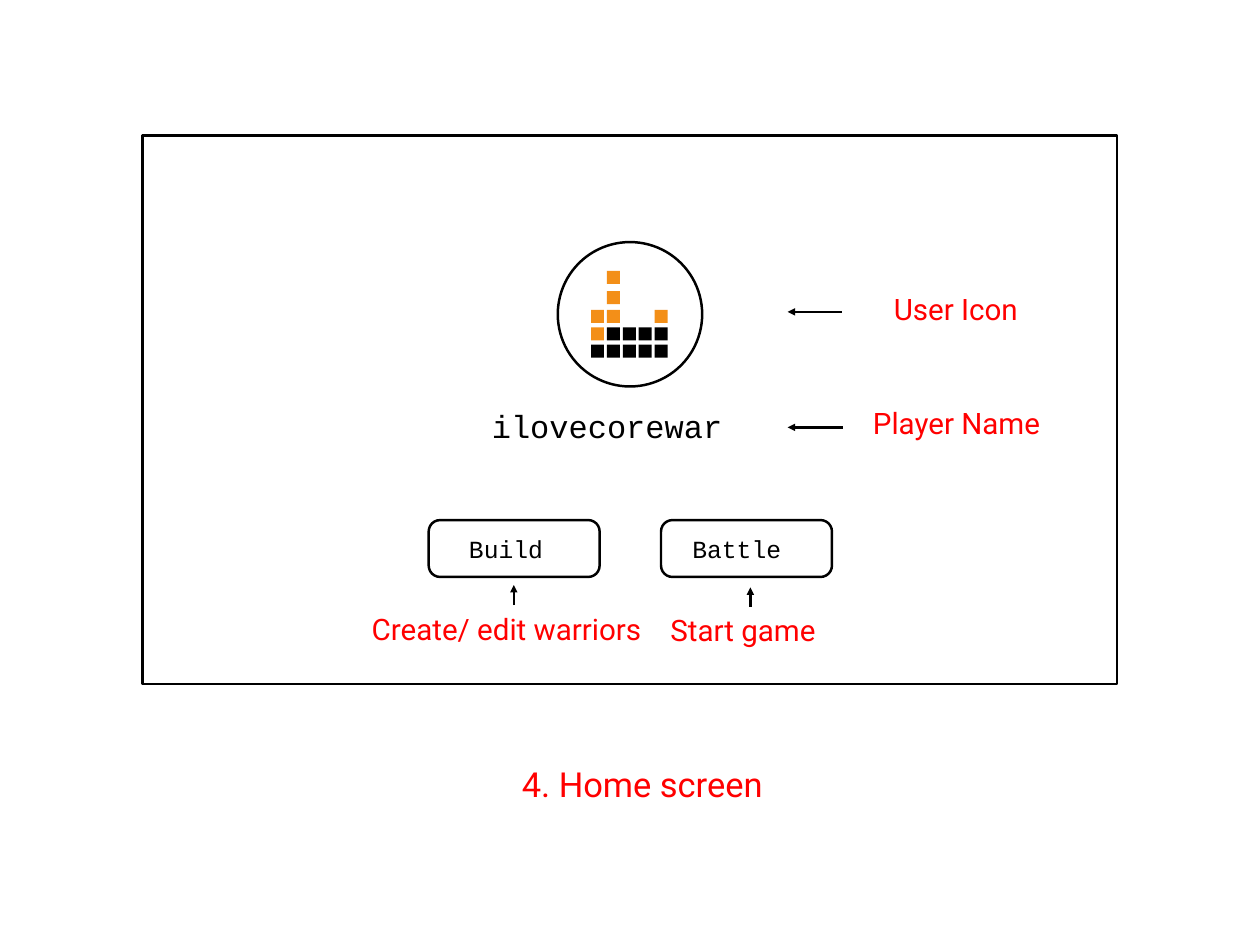
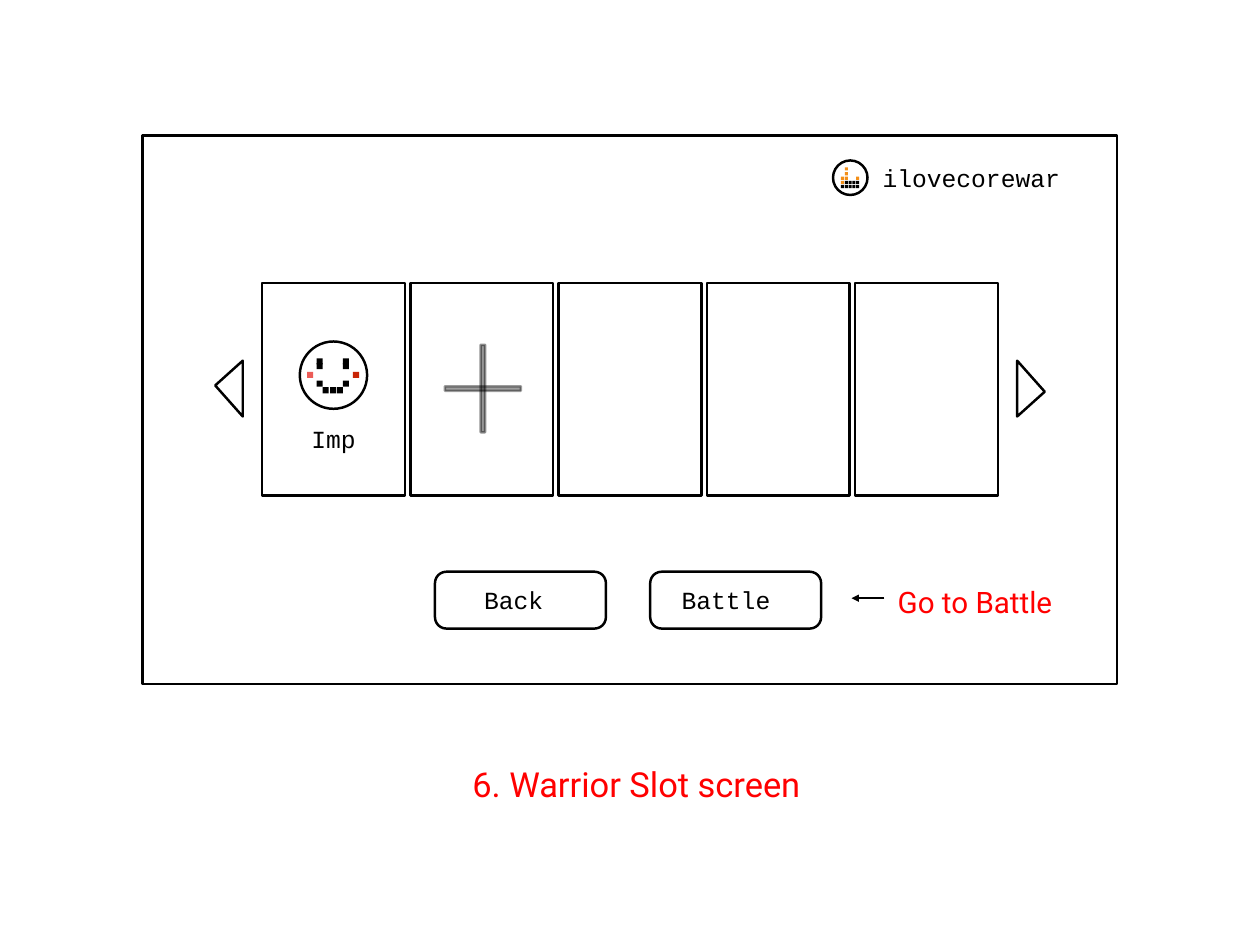
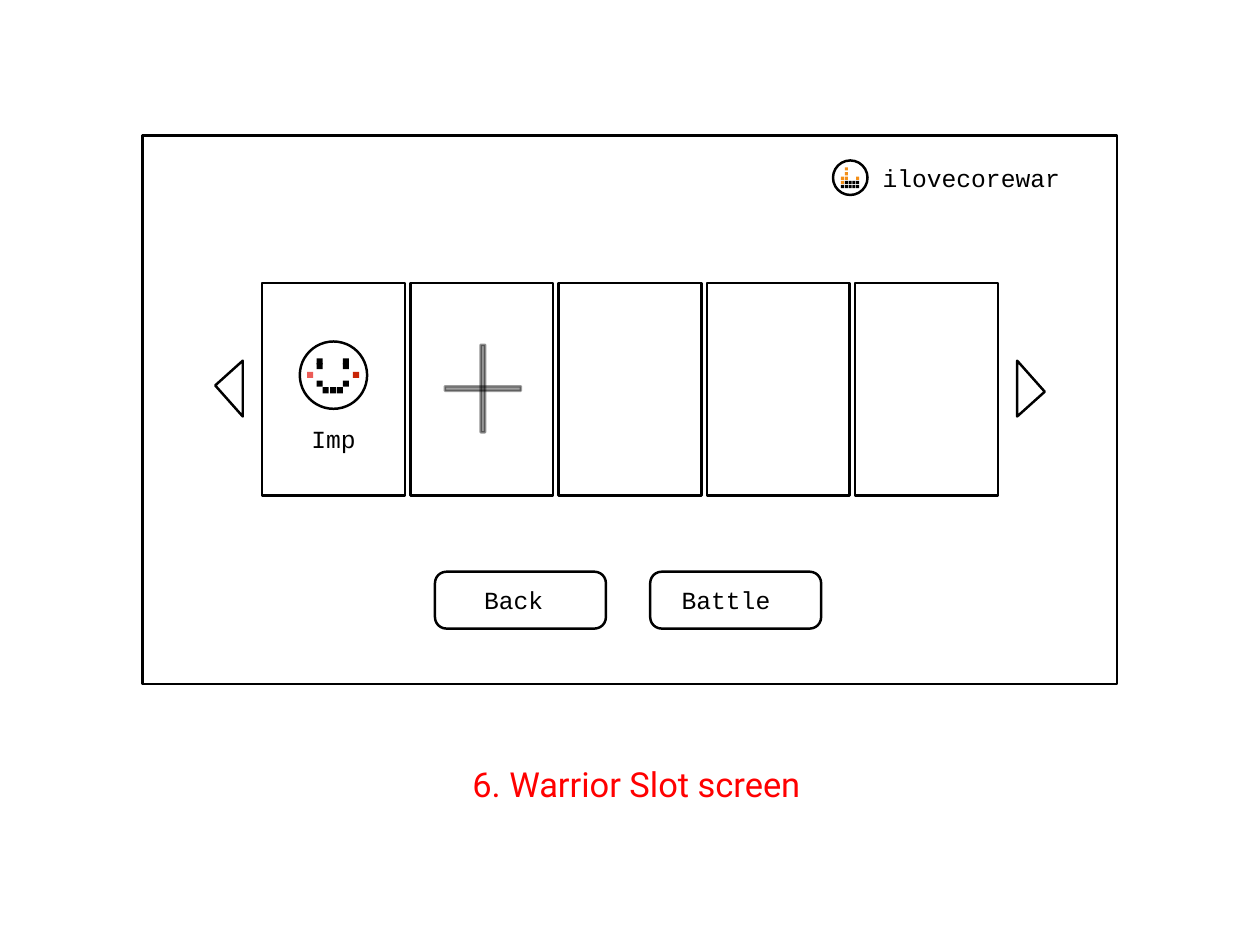
from dataclasses import dataclass

from lxml import etree
from pptx import Presentation
from pptx.dml.color import RGBColor
from pptx.enum.shapes import MSO_CONNECTOR, MSO_SHAPE
from pptx.enum.text import MSO_ANCHOR, MSO_AUTO_SIZE, PP_ALIGN
from pptx.oxml.ns import qn
from pptx.util import Cm, Pt

RECT, ROUND, OVAL = MSO_SHAPE.RECTANGLE, MSO_SHAPE.ROUNDED_RECTANGLE, MSO_SHAPE.OVAL
LEFT, CENTER = PP_ALIGN.LEFT, PP_ALIGN.CENTER
MIDDLE, FIXED = MSO_ANCHOR.MIDDLE, MSO_AUTO_SIZE.NONE
STRAIGHT = MSO_CONNECTOR.STRAIGHT
TITLE_ONLY = 5


@dataclass(frozen=True)
class Theme:
    black: str = "000000"
    white: str = "FFFFFF"
    red: str = "FF0000"
    orange: str = "F38F18"
    blush: str = "EC5C57"
    cheek: str = "C82506"
    line: float = 2
    inset: float = 0.15
    mono: str = "Courier New"
    sans: str = "Roboto"
    title: int = 28
    name: int = 26
    note: int = 24
    label: int = 20


@dataclass(frozen=True)
class Box:
    """A region in centimetres."""
    x: float
    y: float
    w: float
    h: float

    def sub(self, x, y, w, h):
        """Return a box whose place is counted from this one's corner."""
        return Box(self.x + x, self.y + y, w, h)

    def emu(self):
        return [Cm(n) for n in (self.x, self.y, self.w, self.h)]


T = Theme()
FRAME = Box(4.09, 3.89, 27.94, 15.72)
BUTTON_W, BUTTON_H = 4.9, 1.63
CARD_W, CARD_H, PITCH, CARDS = 4.09, 6.1, 4.25, 5

# Marks are (x, y, colour), as shares of the icon's diameter.
MARK = 0.09
TINTS = {"o": T.orange, "k": T.black}
ROWS = {0.2: ".o...", 0.34: ".o...", 0.47: "oo..o", 0.59: "okkkk", 0.71: "kkkkk"}
USER = [(0.23 + 0.11 * col, y, TINTS[key])
        for y, row in ROWS.items() for col, key in enumerate(row) if key in TINTS]
EYES = [(x, y, T.black) for x in (0.25, 0.64) for y in (0.25, 0.32)]
MOUTH = [(x, y, T.black) for x, y in
         ((0.25, 0.58), (0.34, 0.68), (0.45, 0.68), (0.55, 0.68), (0.64, 0.58))]
IMP = EYES + MOUTH + [(0.11, 0.45, T.blush), (0.79, 0.45, T.cheek)]


def paint(shape, fill=None, line=None):
    shape.shadow.inherit = False
    if fill:
        shape.fill.solid()
        shape.fill.fore_color.rgb = RGBColor.from_string(fill)
    else:
        shape.fill.background()
    if line:
        shape.line.color.rgb = RGBColor.from_string(line)
        shape.line.width = Pt(T.line)
    else:
        shape.line.fill.background()
    return shape


def draw(shapes, kind, box, fill=None, line=None):
    return paint(shapes.add_shape(kind, *box.emu()), fill, line)


def write(shape, text, size, face, color, align=LEFT, left=T.inset):
    frame, inset = shape.text_frame, Cm(T.inset)
    look = {"word_wrap": True, "auto_size": FIXED, "vertical_anchor": MIDDLE,
            "margin_left": Cm(left), "margin_right": inset,
            "margin_top": inset, "margin_bottom": inset}
    for key, value in look.items():
        setattr(frame, key, value)
    frame.text = text
    para = frame.paragraphs[0]
    para.alignment = align
    for key, value in {"size": Pt(size), "name": face}.items():
        setattr(para.font, key, value)
    para.font.color.rgb = RGBColor.from_string(color)


def label(slide, box, text, size, face=T.mono, color=T.black, align=LEFT):
    write(slide.shapes.add_textbox(*box.emu()), text, size, face, color, align)


def arrow(slide, box, start, end):
    """Draw an arrow between two points counted from the box's corner."""
    ends = [Cm(n) for x, y in (start, end) for n in (box.x + x, box.y + y)]
    link = slide.shapes.add_connector(STRAIGHT, *ends)
    link.line.color.rgb = RGBColor.from_string(T.black)
    link.line.width = Pt(T.line)
    etree.SubElement(link.line._get_or_add_ln(), qn("a:tailEnd"), type="triangle")
    etree.SubElement(link._element.spPr, qn("a:effectLst"))


def note(slide, box, text, mid, top, start, end):
    """Place a red remark centred on mid, with its arrow."""
    width = 8.4
    label(slide, box.sub(mid - width / 2, top, width, 1.32), text,
          T.note, T.sans, T.red, CENTER)
    arrow(slide, box, start, end)


def icon(slide, box, marks):
    shapes = slide.shapes.add_group_shape().shapes
    draw(shapes, OVAL, box, T.white, T.black)
    side = MARK * box.w
    for x, y, color in marks:
        draw(shapes, RECT, box.sub(x * box.w, y * box.h, side, side), color)


def button(slide, box, text):
    shape = draw(slide.shapes, ROUND, box, line=T.black)
    shape.adjustments[0] = 0.2
    room = 0.51 * len(text) + 0.33
    write(shape, text, T.label, T.mono, T.black, left=(box.w - room) / 2 + 0.05)


def buttons(slide, box, top, items):
    for left, text in items:
        button(slide, box.sub(left, top, BUTTON_W, BUTTON_H), text)


def fade(shape, alpha):
    """Make fill and line see-through, alpha in percent."""
    for tint in shape._element.spPr.iter(qn("a:srgbClr")):
        etree.SubElement(tint, qn("a:alpha"), val=str(alpha * 1000))


def plus(slide, box):
    shapes = slide.shapes.add_group_shape().shapes
    for w, h, alpha in ((2.18, 0.13, 38), (0.13, 2.51, 41)):
        bar = box.sub(2.08 - w / 2, 3.03 - h / 2, w, h)
        fade(draw(shapes, RECT, bar, T.black, T.black), alpha)


def imp(slide, box):
    size = 1.93
    icon(slide, box.sub((box.w - size) / 2, 1.68, size, size), IMP)
    label(slide, box.sub(0, 3.71, box.w, 1.52), "Imp", T.label, align=CENTER)


def cards(slide, box):
    left = (box.w - PITCH * (CARDS - 1) - CARD_W) / 2
    spots = [box.sub(left + PITCH * i, 4.22, CARD_W, CARD_H) for i in range(CARDS)]
    for spot in spots:
        draw(slide.shapes, RECT, spot, T.white, T.black)
    imp(slide, spots[0])
    plus(slide, spots[1])


def pager(slide, box):
    """Place the two triangles, each a half turn of the other."""
    mid, level = box.x + box.w / 2, box.y + 7.25
    for turn in (-1, 1):
        points = [(Cm(mid + turn * x), Cm(level + turn * y))
                  for x, y in ((11.1, -0.8), (11.89, 0.09), (11.1, 0.8))]
        path = slide.shapes.build_freeform(*points[0])
        path.add_line_segments(points[1:], close=True)
        paint(path.convert_to_shape(), T.white, T.black)


def screen(deck, title, left):
    """Add a slide with the framed screen and its red title."""
    slide = deck.slides.add_slide(deck.slide_layouts[TITLE_ONLY])
    head = slide.shapes.title
    spot = FRAME.sub(left, 17.83, 11, 1.47).emu()
    for key, value in zip(("left", "top", "width", "height"), spot):
        setattr(head, key, value)
    write(head, title, T.title, T.sans, T.red)
    draw(slide.shapes, RECT, FRAME, line=T.black)
    return slide


def home(deck, box):
    slide = screen(deck, "4. Home screen", 10.72)
    size = 4.14
    icon(slide, box.sub((box.w - size) / 2, 3.05, size, size), USER)
    label(slide, box.sub(9.86, 7.72, 8.26, 1.19), "ilovecorewar", T.name)
    buttons(slide, box, 11.02, ((8.2, "Build"), (14.86, "Battle")))
    for args in (
        ("User Icon", 23.31, 4.29, (20.04, 5.05), (18.49, 5.05)),
        ("Player Name", 23.33, 7.57, (20.07, 8.36), (18.49, 8.36)),
        ("Create/ edit warriors", 10.43, 13.46, (10.64, 13.46), (10.64, 12.88)),
        ("Start game", 17.21, 13.51, (17.42, 13.51), (17.42, 12.95)),
    ):
        note(slide, box, *args)


def slots(deck, box):
    slide = screen(deck, "6. Warrior Slot screen", 9.3)
    icon(slide, box.sub(19.79, 0.71, 0.99, 0.99), USER)
    label(slide, box.sub(21.06, 0.71, 6.43, 0.99), "ilovecorewar", T.label)
    cards(slide, box)
    pager(slide, box)
    buttons(slide, box, 12.5, ((8.38, "Back"), (14.55, "Battle")))
    return slide


def main():
    deck = Presentation()
    deck.slide_width, deck.slide_height = Cm(36.12), Cm(27.09)
    home(deck, FRAME)
    first = slots(deck, FRAME)
    note(first, FRAME, "Go to Battle", 23.86, 12.7, (21.26, 13.26), (20.32, 13.26))
    slots(deck, FRAME)
    deck.save("out.pptx")


if __name__ == "__main__":
    main()
